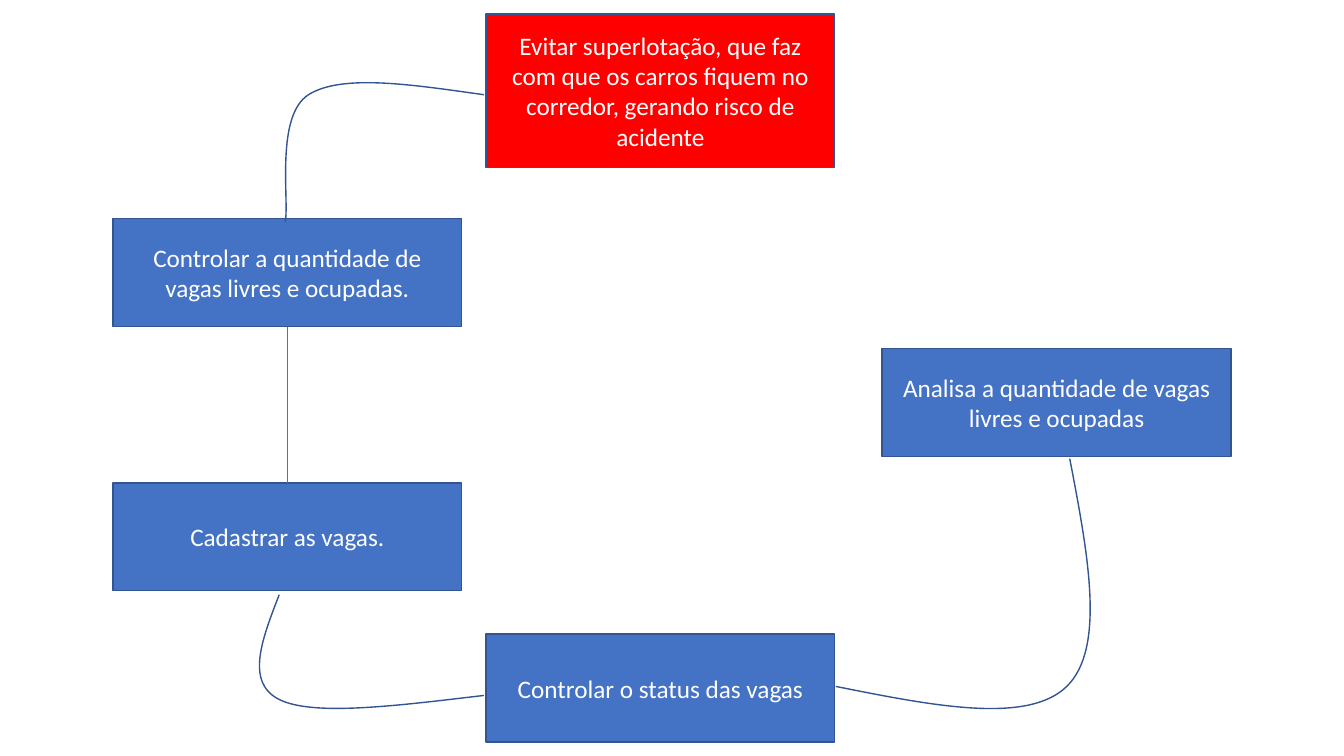
from dataclasses import dataclass

import lxml.etree
import pptx
import pptx.dml.color
import pptx.enum.shapes
import pptx.enum.text
import pptx.oxml.ns
import pptx.util
from pptx.util import Inches

BLUE, RED, OUTLINE, WHITE = "4472C4", "FF0000", "325491", "FFFFFF"
BOX_WIDTH = 3.46
LEFT_COLUMN, MIDDLE_COLUMN, RIGHT_COLUMN = 1.12, 4.82, 8.75
TOP_SITE, BOTTOM_SITE = 0, 2

Point = tuple[float, float]


@dataclass
class Box:
    """A labelled step of the map, in inches."""
    text: str
    left: float
    top: float
    height: float = 1.07
    fill: str = BLUE


@dataclass
class Curve:
    """A link of Bezier segments: frame corners, start, then three points a segment."""
    top_left: Point
    bottom_right: Point
    points: list[Point]


GOAL = Box("Evitar superlotação, que faz com que os carros fiquem no corredor, "
           "gerando risco de acidente", MIDDLE_COLUMN, 0.14, 1.52, RED)
COUNT = Box("Controlar a quantidade de vagas livres e ocupadas.", LEFT_COLUMN, 2.17)
REGISTER = Box("Cadastrar as vagas.", LEFT_COLUMN, 4.79)
STATUS = Box("Controlar o status das vagas", MIDDLE_COLUMN, 6.29)
ANALYSIS = Box("Analisa a quantidade de vagas livres e ocupadas", RIGHT_COLUMN, 3.46)

GOAL_TO_COUNT = Curve((2.83, 0.82), (4.8, 2.2), [
    (4.8, 0.94), (4.09, 0.84), (3.39, 0.73), (3.06, 0.94),
    (2.73, 1.15), (2.87, 1.98), (2.83, 2.2)])
REGISTER_TO_STATUS = Curve((2.57, 5.9), (4.8, 7.03), [
    (2.77, 5.9), (2.6, 6.34), (2.43, 6.77), (2.77, 6.94),
    (3.11, 7.11), (3.95, 7), (4.8, 6.9)])
STATUS_TO_ANALYSIS = Curve((8.29, 4.55), (10.81, 7.03), [
    (8.29, 6.81), (9.24, 7), (10.19, 7.19), (10.58, 6.81),
    (10.97, 6.43), (10.79, 5.49), (10.61, 4.55)])


def rgb(color: str) -> pptx.dml.color.RGBColor:
    """Turn a hex string into a colour."""
    return pptx.dml.color.RGBColor.from_string(color)


def set_line(s, color: str, width: float) -> None:
    """Give a shape or connector a solid line."""
    s.line.color.rgb = rgb(color)
    s.line.width = pptx.util.Pt(width)


def add_box(shapes, box: Box):
    """Draw a box with its centred label."""
    s = shapes.add_shape(pptx.enum.shapes.MSO_SHAPE.RECTANGLE, Inches(box.left),
                         Inches(box.top), Inches(BOX_WIDTH), Inches(box.height))
    s.shadow.inherit = False
    s.fill.solid()
    s.fill.fore_color.rgb = rgb(box.fill)
    set_line(s, OUTLINE, 1)
    tf = s.text_frame
    tf.word_wrap = True
    tf.vertical_anchor = pptx.enum.text.MSO_ANCHOR.MIDDLE
    p = tf.paragraphs[0]
    p.text = box.text
    p.alignment = pptx.enum.text.PP_ALIGN.CENTER
    p.font.name = "Calibri"
    p.font.size = pptx.util.Pt(18)
    p.font.color.rgb = rgb(WHITE)
    return s


def add_link(shapes, upper, lower) -> None:
    """Join the bottom of one box to the top of another."""
    s = shapes.add_connector(pptx.enum.shapes.MSO_CONNECTOR.STRAIGHT, 0, 0, 0, 0)
    s.begin_connect(upper, BOTTOM_SITE)
    s.end_connect(lower, TOP_SITE)
    set_line(s, BLUE, 0.5)
    lxml.etree.SubElement(s.element.spPr, pptx.oxml.ns.qn("a:effectLst"))


def add_curve(shapes, curve: Curve) -> None:
    """Draw an open freeform made of cubic Bezier segments."""
    left, top = curve.top_left
    builder = shapes.build_freeform(Inches(left), Inches(top))
    right, bottom = curve.bottom_right
    builder.add_line_segments([(Inches(right), Inches(bottom))], close=False)
    s = builder.convert_to_shape()
    s.shadow.inherit = False
    s.fill.background()
    set_line(s, OUTLINE, 1)

    outline = s.element.xpath(".//a:path")[0]
    for child in list(outline):
        outline.remove(child)
    start, *rest = curve.points
    segments = [rest[i:i + 3] for i in range(0, len(rest), 3)]
    for tag, points in [("a:moveTo", [start]), *(("a:cubicBezTo", g) for g in segments)]:
        command = lxml.etree.SubElement(outline, pptx.oxml.ns.qn(tag))
        for x, y in points:
            lxml.etree.SubElement(command, pptx.oxml.ns.qn("a:pt"),
                                  x=str(int(Inches(x - left))), y=str(int(Inches(y - top))))


def main() -> None:
    """Build the slide and save it."""
    prs = pptx.Presentation()
    prs.slide_width, prs.slide_height = Inches(13.33), Inches(7.5)
    shapes = prs.slides.add_slide(prs.slide_layouts[6]).shapes
    add_box(shapes, GOAL)
    count = add_box(shapes, COUNT)
    register = add_box(shapes, REGISTER)
    add_box(shapes, STATUS)
    add_box(shapes, ANALYSIS)
    add_link(shapes, count, register)
    for curve in (GOAL_TO_COUNT, REGISTER_TO_STATUS, STATUS_TO_ANALYSIS):
        add_curve(shapes, curve)
    prs.save("out.pptx")


main()
